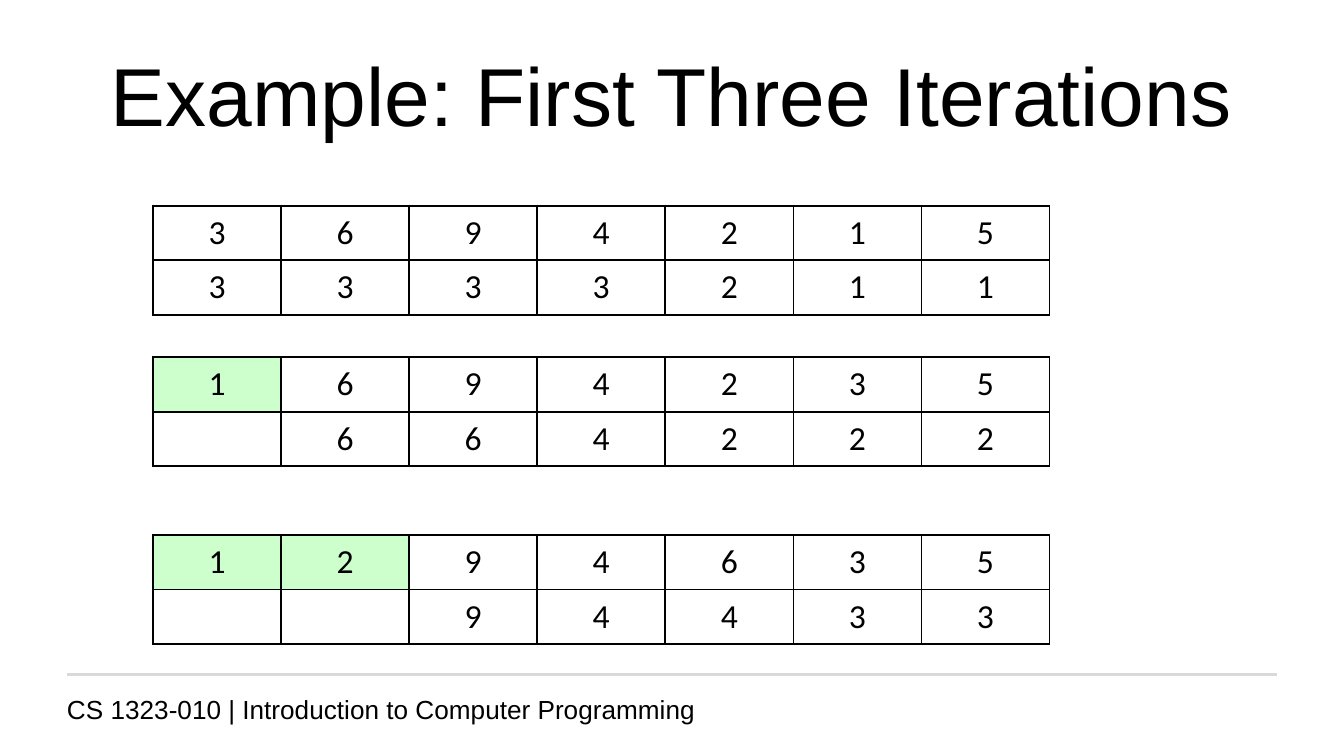
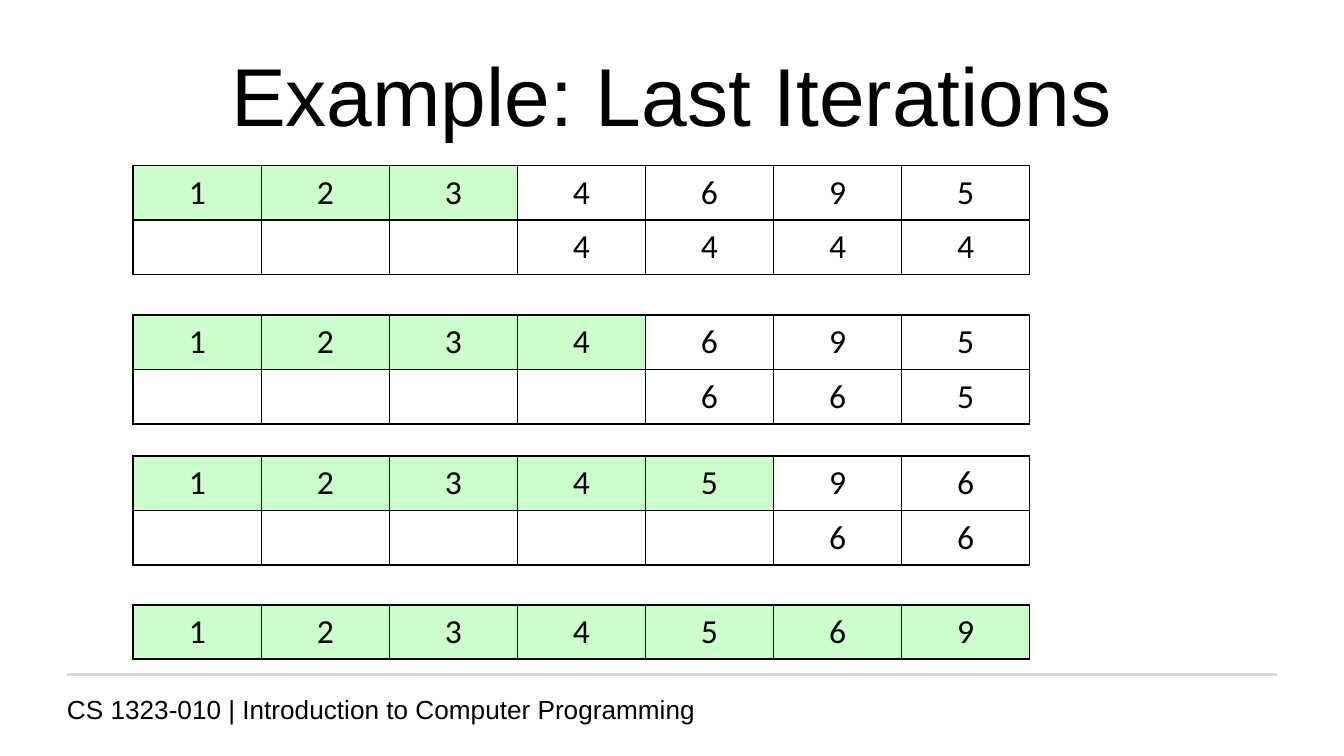
from lxml.etree import SubElement
from pptx import Presentation
from pptx.dml.color import RGBColor
from pptx.enum.shapes import MSO_CONNECTOR
from pptx.enum.text import MSO_ANCHOR, PP_ALIGN
from pptx.oxml import parse_xml
from pptx.oxml.ns import nsdecls, qn
from pptx.util import Pt

BLACK, RULE_GREY, SORTED_GREEN = "000000", "D9D9D9", "CCFFCC"
FOOTER = "CS 1323-010 | Introduction to Computer Programming"
COLS, COL_W, ROW_H = 7, 68.6, 29.2

# Each table: top, list values, running minimum over the unsorted tail
SLIDES = [
    ("Example: First Three Iterations", 82, [
        (110.2, "3694215", "3333211"),
        (191.4, "1694235", "664222"),
        (286.7, "1294635", "94433"),
    ]),
    ("Example: Last Iterations", 71.4, [
        (88.6, "1234695", "4444"),
        (168.8, "1234695", "665"),
        (244.4, "1234596", "66"),
        (324, "1234569", ""),
    ]),
]


def rgb(color):
    return RGBColor.from_string(color)


def style(p, size, name, align):
    p.alignment = align
    p.font.size, p.font.name = Pt(size), name
    p.font.color.rgb = rgb(BLACK)


prs = Presentation()
prs.slide_width, prs.slide_height = Pt(720), Pt(405)

for title, left, tables in SLIDES:
    s = prs.slides.add_slide(prs.slide_layouts[6])

    for text, box, size, align, anchor in [
        (FOOTER, (28.8, 368, 648, 15), 14, PP_ALIGN.LEFT, MSO_ANCHOR.TOP),
        (title, (36, 16.6, 648, 67.6), 44, PP_ALIGN.CENTER, MSO_ANCHOR.MIDDLE),
    ]:
        tf = s.shapes.add_textbox(*map(Pt, box)).text_frame
        tf.word_wrap = True
        tf.vertical_anchor = anchor
        p = tf.paragraphs[0]
        p.text = text
        style(p, size, "Arial", align)

    rule = s.shapes.add_connector(
        MSO_CONNECTOR.STRAIGHT, Pt(36), Pt(361.4), Pt(684), Pt(361.4))
    rule.line.color.rgb = rgb(RULE_GREY)
    rule.line.width = Pt(2)
    SubElement(rule._element.spPr, qn("a:effectLst"))

    for top, values, minima in tables:
        sorted_count = COLS - len(minima)
        rows = [values, minima.rjust(COLS)] if minima else [values]
        table = s.shapes.add_table(
            len(rows), COLS, Pt(left), Pt(top),
            Pt(COLS * COL_W), Pt(len(rows) * ROW_H)).table
        table.first_row = table.horz_banding = False
        for column in table.columns:
            column.width = Pt(COL_W)
        for i, row in enumerate(rows):
            table.rows[i].height = Pt(ROW_H)
            for j, value in enumerate(row):
                cell = table.cell(i, j)
                p = cell.text_frame.paragraphs[0]
                p.text = value.strip()
                style(p, 18, "Calibri", PP_ALIGN.CENTER)
                tc_pr = cell._tc.get_or_add_tcPr()
                for side in ("lnL", "lnR", "lnT", "lnB"):
                    tc_pr.append(parse_xml(
                        f'<a:{side} {nsdecls("a")} w="{Pt(1)}"><a:solidFill>'
                        f'<a:srgbClr val="{BLACK}"/></a:solidFill></a:{side}>'))
                if i == 0 and j < sorted_count:
                    cell.fill.solid()
                    cell.fill.fore_color.rgb = rgb(SORTED_GREEN)
                else:
                    cell.fill.background()

prs.save("out.pptx")
